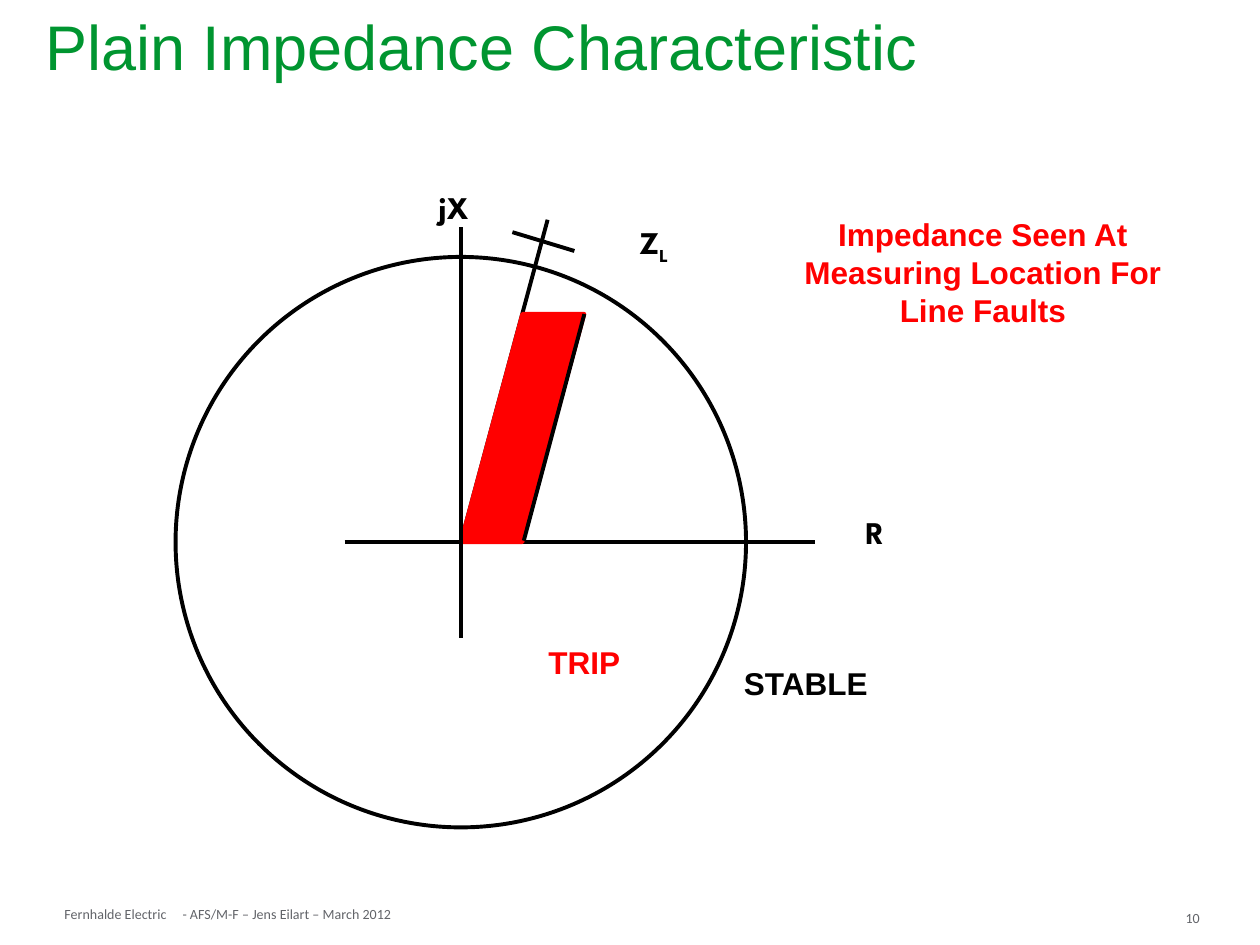
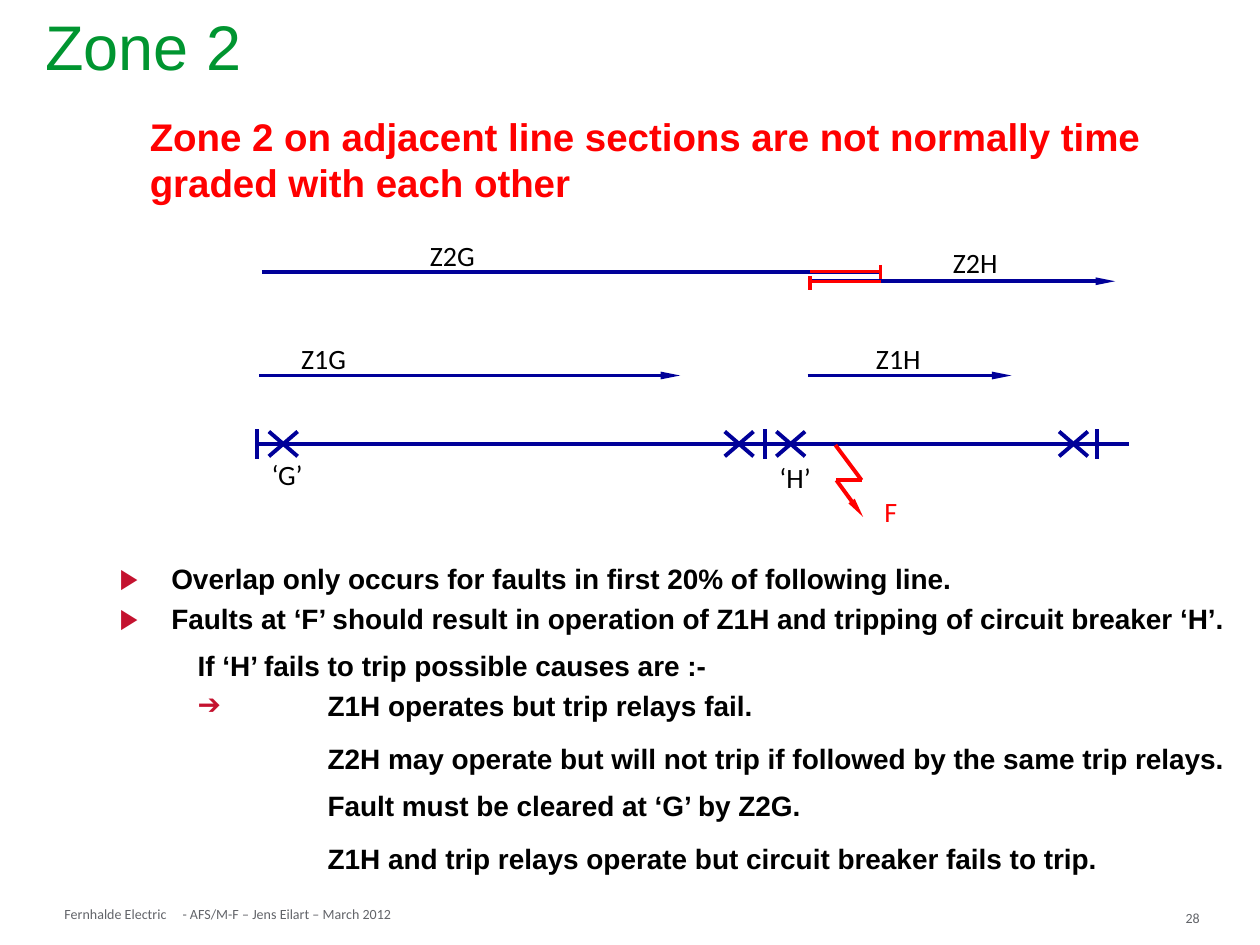
from itertools import pairwise

from lxml.etree import SubElement
from pptx import Presentation
from pptx.dml.color import RGBColor
from pptx.enum.shapes import MSO_CONNECTOR as Connector, MSO_SHAPE as Shape
from pptx.enum.text import MSO_ANCHOR as Anchor, MSO_AUTO_SIZE as AutoSize, PP_ALIGN as Align
from pptx.oxml.ns import qn
from pptx.util import Cm, Pt

COLORS = {
    "title": "009530",
    "footer": "626469",
    "ink": "000000",
    "alert": "FF0000",
    "line": "000099",
    "bullet": "C4122F",
}
TITLE_ONLY, TITLE_AND_BODY = 5, 1
TITLE_BOX = (0.66, 0.2, 23.98, 1.63)
FOOTER = [(1.3, 18.26, 2.24, "Fernhalde Electric"),
          (3.68, 18.26, 4.45, "- AFS/M-F – Jens Eilart – March 2012")]
PAGE_NUMBER_AT = (23.9, 18.34, 0.81)


def rgb(name):
    return RGBColor.from_string(COLORS[name])


def write(paragraph, text, size=18, font="Arial", color="ink", bold=False,
          align=Align.LEFT, subscript=False):
    paragraph.alignment = align
    run = paragraph.add_run()
    run.text = text
    run.font.size = Pt(size)
    run.font.name = font
    run.font.bold = bold
    run.font.color.rgb = rgb(color)
    if subscript:
        run._r.get_or_add_rPr().set("baseline", "-25000")


def add_label(slide, box, text, margins=None, wrap=True, **style):
    shape = slide.shapes.add_textbox(*map(Cm, box))
    frame = shape.text_frame
    frame.word_wrap = wrap
    if margins is not None:
        frame.margin_left = frame.margin_right = Cm(margins)
        frame.margin_top = frame.margin_bottom = Cm(margins)
    write(frame.paragraphs[0], text, **style)
    return frame.paragraphs[0]


def add_line(slide, origin, start, end, color="ink", width=2.25, arrow=False):
    left, top = origin
    line = slide.shapes.add_connector(
        Connector.STRAIGHT, Cm(left + start[0]), Cm(top + start[1]),
        Cm(left + end[0]), Cm(top + end[1]))
    line.line.color.rgb = rgb(color)
    line.line.width = Pt(width)
    if arrow:
        SubElement(line.line._get_or_add_ln(), qn("a:tailEnd"),
                   type="triangle", w="sm", len="lg")
    SubElement(line._element.spPr, qn("a:effectLst"))


def add_page(presentation, layout, title, number):
    slide = presentation.slides.add_slide(presentation.slide_layouts[layout])
    place(slide.shapes.title, TITLE_BOX)
    frame = slide.shapes.title.text_frame
    frame.auto_size = AutoSize.NONE
    frame.vertical_anchor = Anchor.MIDDLE
    frame.paragraphs[0].line_spacing = 0.9
    write(frame.paragraphs[0], title, size=36, color="title")
    for left, top, width, text in FOOTER + [(*PAGE_NUMBER_AT, str(number))]:
        add_label(slide, (left, top, width, 0.33), text, margins=0, wrap=False,
                  size=8, font="Calibri", color="footer")
    return slide


def place(shape, box):
    shape.left, shape.top, shape.width, shape.height = map(Cm, box)


def draw_impedance_plane(slide, box):
    left, top, width, height = box
    origin = x0, y0 = left + width / 2, top + height / 2

    add_line(slide, origin, (0, 0), (1.75, -6.5))
    circle = slide.shapes.add_shape(Shape.OVAL, *map(Cm, box))
    circle.shadow.inherit = False
    circle.fill.background()
    circle.line.color.rgb = rgb("ink")
    circle.line.width = Pt(2.25)
    add_line(slide, origin, (-2.34, 0), (7.14, 0))

    corners = [(0, 0), (1.24, 0), (2.49, -4.6), (1.24, -4.6)]
    points = [(Cm(x0 + x), Cm(y0 + y)) for x, y in corners]
    builder = slide.shapes.build_freeform(*points[0], scale=1)
    builder.add_line_segments(points[1:], close=True)
    fault_area = builder.convert_to_shape()
    fault_area.shadow.inherit = False
    fault_area.fill.solid()
    fault_area.fill.fore_color.rgb = rgb("alert")
    fault_area.line.color.rgb = rgb("alert")
    fault_area.line.width = Pt(2.25)

    add_line(slide, origin, (0, -6.35), (0, 1.93))
    add_line(slide, origin, (2.49, -4.6), (1.27, -0.03))
    add_line(slide, origin, (1.04, -6.25), (2.29, -5.87))

    axis_font = "League Spartan"
    labels = [
        ("jX", (-1.44, -7.27, 2.59, 1.27), axis_font, "ink"),
        ("Z", (2.6, -6.56, 2.59, 1.27), axis_font, "ink"),
        ("R", (7.37, -0.72, 1.96, 1.27), axis_font, "ink"),
        ("TRIP", (0.46, 1.9, 4.06, 1.02), "Arial", "alert"),
        ("STABLE", (4.58, 2.33, 4.75, 1.02), "Arial", "ink"),
        ("Impedance Seen At Measuring Location For Line Faults",
         (5.98, -6.71, 9.09, 2.57), "Arial", "alert"),
    ]
    for text, (x, y, w, h), font, color in labels:
        style = dict(font=font, color=color, bold=True, align=Align.CENTER)
        paragraph = add_label(slide, (x0 + x, y0 + y, w, h), text, **style)
        if text == "Z":
            write(paragraph, "L", subscript=True, **style)


def draw_zone_reaches(slide, box):
    left, top, width, height = box
    origin = (left, top)
    line_y = 4.17

    labels = [
        ("Z1G", 0.56, 2.08, 1.57), ("Z1H", 12.22, 2.08, 1.42),
        ("Z2G", 3.18, 0, 1.52), ("Z2H", 13.77, 0.15, 1.42),
        ("‘H’", 10.34, 4.47, 1.02), ("‘G’", 0.1, 4.42, 1.02),
        ("F", 12.27, 5.16, 1.02),
    ]
    for text, x, y, w in labels:
        add_label(slide, (left + x, top + y, w, 0.73), text, margins=0.03,
                  size=16, font="Calibri", align=Align.CENTER,
                  color="alert" if text == "F" else "line" if not text else "ink")

    reaches = [(0.1, 12.57, 0.71, False), (11.15, 17.3, 0.89, True),
               (0.05, 8.53, 2.79, True), (11.1, 15.21, 2.79, True)]
    for start, end, y, arrow in reaches:
        add_line(slide, origin, (start, y), (end, y), "line", arrow=arrow)

    add_line(slide, origin, (0, line_y), (width, line_y), "line")
    for x in (0, 10.24, 16.94):
        add_line(slide, origin, (x, line_y - 0.3), (x, line_y + 0.3), "line")
    for x in (0.53, 9.72, 10.76, 16.46):
        for rise in (-0.25, 0.25):
            add_line(slide, origin, (x - 0.29, line_y + rise),
                     (x + 0.29, line_y - rise), "line")

    for x, y in ((11.15, 0.93), (12.57, 0.7)):
        add_line(slide, origin, (x, y - 0.14), (x, y + 0.14), "alert")
    for y in (0.69, 0.89):
        add_line(slide, origin, (11.15, y), (12.57, y), "alert", width=2)

    fault = [(11.66, 4.19), (12.19, 4.9), (11.68, 4.9), (12.22, height)]
    for start, end in pairwise(fault):
        add_line(slide, origin, start, end, "alert", arrow=end == fault[-1])


def set_bullet(paragraph, bullet, margin, indent):
    properties = paragraph._p.get_or_add_pPr()
    properties.set("marL", str(Cm(margin)))
    properties.set("indent", str(Cm(indent)))
    if not bullet:
        SubElement(properties, qn("a:buNone"))
        return
    color = SubElement(properties, qn("a:buClr"))
    SubElement(color, qn("a:srgbClr"), val=COLORS["bullet"])
    SubElement(properties, qn("a:buFont"), typeface="Arial")
    SubElement(properties, qn("a:buChar"), char=bullet)


def fill_conclusions(slide, box):
    body = slide.placeholders[1]
    place(body, box)
    frame = body.text_frame
    frame.auto_size = AutoSize.NONE
    point, remark, cause = (1.04, -1.04), (1.57, 0), (4.19, 0)
    rows = [
        ("Overlap only occurs for faults in first 20% of following line.",
         "▶", point, 0, 3.7),
        ("Faults at ‘F’ should result in operation of Z1H and tripping of "
         "circuit breaker ‘H’.", "▶", point, 0, 0),
        ("If ‘H’ fails to trip possible causes are :-", "", remark, 7.4, 3.7),
        ("Z1H operates but trip relays fail.", "➔", (4.19, -2.62), 0, 3.7),
        ("Z2H may operate but will not trip if followed by the same trip relays.",
         "", cause, 7.4, 0),
        ("Fault must be cleared at ‘G’ by Z2G.", "", cause, 7.4, 3.7),
        ("Z1H and trip relays operate but circuit breaker fails to trip.",
         "", cause, 7.4, 0),
    ]
    for index, (text, bullet, indents, before, after) in enumerate(rows):
        paragraph = frame.add_paragraph() if index else frame.paragraphs[0]
        paragraph.level = 0 if indents == point else 1
        paragraph.space_before = Pt(before)
        paragraph.space_after = Pt(after)
        set_bullet(paragraph, bullet, *indents)
        write(paragraph, text, size=16, bold=True)


def build_impedance_slide(presentation):
    slide = add_page(presentation, TITLE_ONLY, "Plain Impedance Characteristic", 10)
    draw_impedance_plane(slide, (3.54, 5.18, 11.5, 11.5))


def build_zone_slide(presentation):
    slide = add_page(presentation, TITLE_AND_BODY, "Zone 2", 28)
    fill_conclusions(slide, (2.16, 11.2, 23.24, 7.59))
    add_label(slide, (2.77, 2.16, 20.9, 2.13),
              "Zone 2 on adjacent line sections are not normally time graded "
              "with each other", size=22, color="alert", bold=True)
    draw_zone_reaches(slide, (5.18, 4.78, 17.58, 5.64))


def main():
    presentation = Presentation()
    presentation.slide_width = Cm(25.4)
    presentation.slide_height = Cm(19.05)
    build_impedance_slide(presentation)
    build_zone_slide(presentation)
    presentation.save("out.pptx")


if __name__ == "__main__":
    main()
